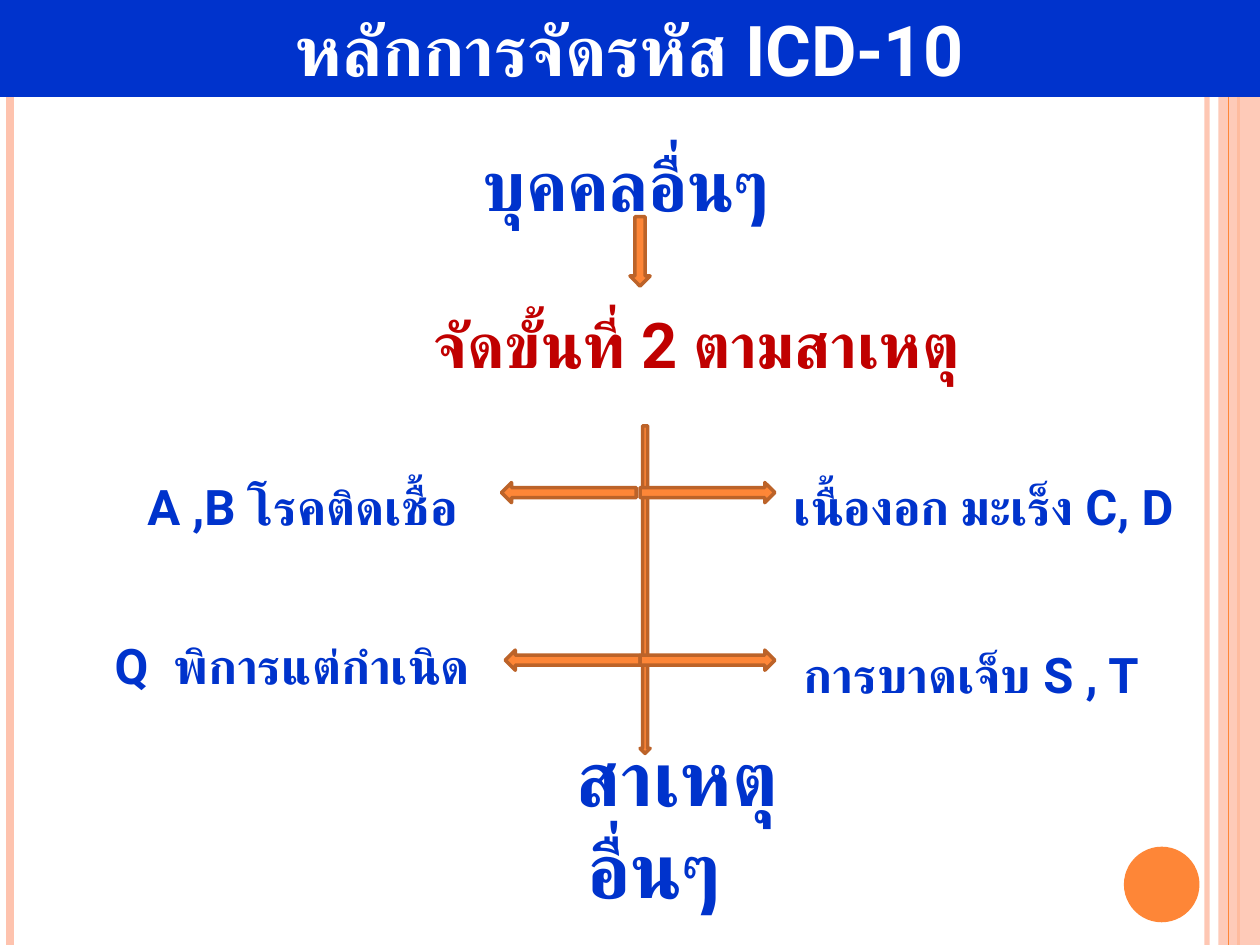
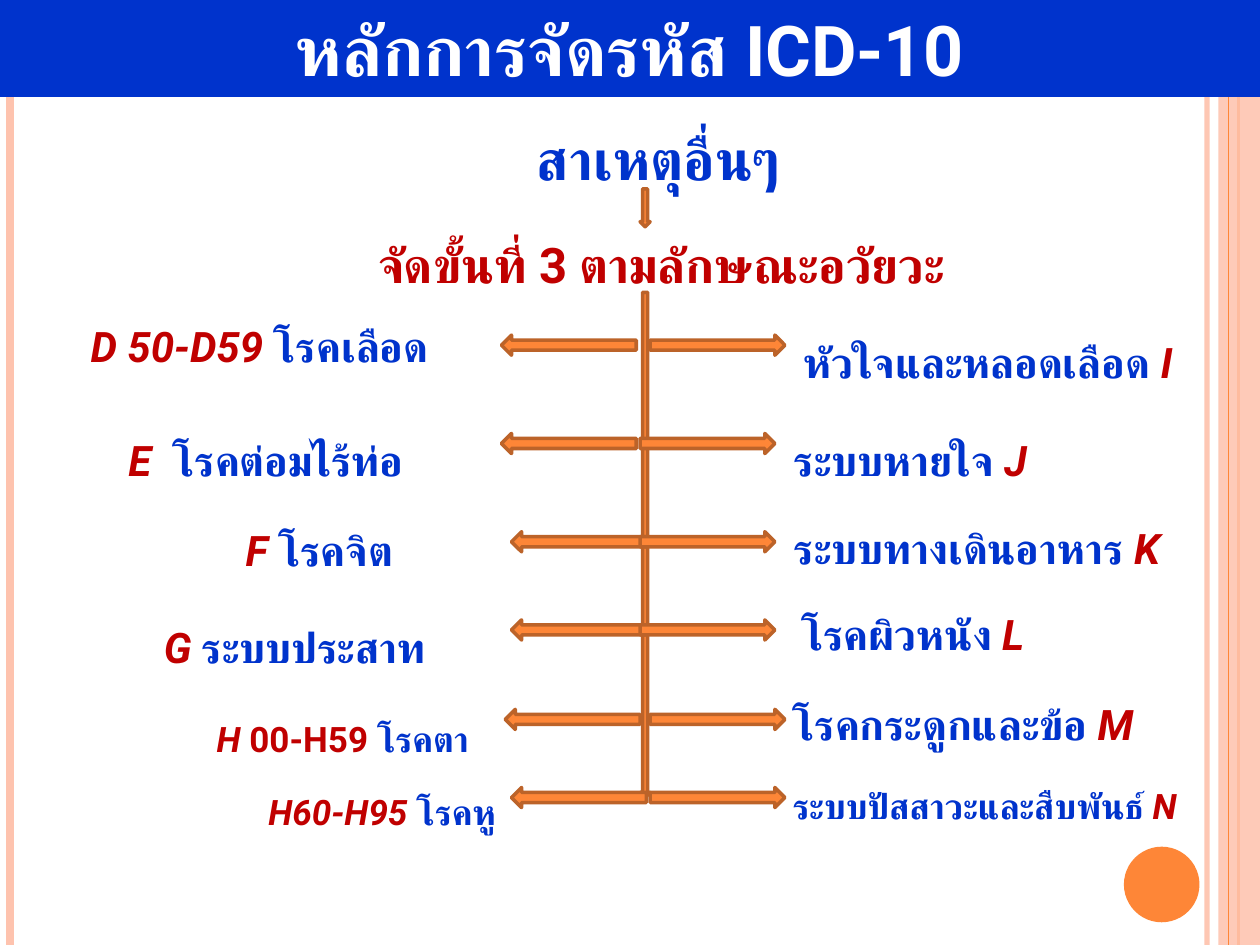
"""Build two slides on the principles of ICD-10 coding."""
from lxml import etree
from pptx import Presentation
from pptx import util as u
from pptx.dml import color
from pptx.enum import shapes, text
from pptx.oxml import ns

COLORS = {"blue": "0033CC", "red": "C00000", "white": "FFFFFF",
          "orange": "FE8637", "rust": "BC6329", "peach": "FEC3AE"}
FONT = "Roboto"
TITLE = "หลักการจัดรหัส ICD-10"
BASELINE_DROP = 0.39
KIND = shapes.MSO_SHAPE
LEFT, CENTER = text.PP_ALIGN.LEFT, text.PP_ALIGN.CENTER

RULES = [(9.58, "peach", 3, 93), (0.08, "peach", 4.5, 100), (9.83, "orange", 1.5, 100)]
INNER_RULE = [(9.75, "orange", 0.75, 100)]

SLIDES = [
    {
        "down": [(5.08, 3.38, 0.08, 2.6), (5, 1.72, 0.16, 0.55)],
        "branches": [(3.83, 3.98, 5.08), (5.16, 4.01, 5.08)],
        "centered": [
            (4.97, 1.67, 4, 40, 0, [("บุคคลอื่นๆ", "blue", False)]),
            (5.53, 2.92, 5.5, 36, 0, [("จัดขั้นที่ 2 ตามสาเหตุ", "red", False)]),
            (5.19, 6.76, 2.4, 44, 0.37, [("สาเหตุอื่นๆ", "blue", False)]),
        ],
        "labels": [
            (1.17, 4.17, 28, 0, [("A ,B โรคติดเชื้อ", "blue", False)]),
            (6.3, 4.17, 28, 0, [("เนื้องอก มะเร็ง C, D", "blue", False)]),
            (6.38, 5.5, 28, 0, [("การบาดเจ็บ S , T", "blue", False)]),
            (0.91, 5.43, 28, 0.47, [("Q\tพิการแต่กำเนิด", "blue", False)]),
        ],
    },
    {
        "down": [(5.08, 2.32, 0.08, 4.01), (5.08, 1.5, 0.08, 0.3)],
        "branches": [(2.66, 3.98, 5.16), (3.44, 3.98, 5.08), (4.22, 4.06, 5.08),
                     (4.92, 4.06, 5.08), (5.63, 4.01, 5.16), (6.25, 4.06, 5.16)],
        "centered": [
            (5.23, 1.43, 3.2, 32, 0, [("สาเหตุอื่นๆ", "blue", False)]),
            (5.25, 2.25, 5.8, 28, 0, [("จัดขั้นที่ 3 ตามลักษณะอวัยวะ", "red", False)]),
        ],
        "labels": [
            (0.72, 2.87, 24, 0, [("D 50-D59 ", "red", True), ("โรคเลือด", "blue", False)]),
            (1.02, 3.78, 24, 0.35, [("E\t", "red", True), ("โรคต่อมไร้ท่อ", "blue", False)]),
            (1.95, 4.49, 24, 0, [("F ", "red", True), ("โรคจิต", "blue", False)]),
            (1.3, 5.26, 24, 0, [("G ", "red", True), ("ระบบประสาท", "blue", False)]),
            (1.72, 5.97, 20, 0, [("H ", "red", True), ("00-H59 ", "red", False),
                                 ("โรคตา", "blue", False)]),
            (2.13, 6.55, 20, 0, [("H60-H95 ", "red", True), ("โรคหู", "blue", False)]),
            (6.38, 3, 24, 0, [("หัวใจและหลอดเลือด ", "blue", False), ("I", "red", True)]),
            (6.3, 3.78, 24, 0, [("ระบบหายใจ ", "blue", False), ("J", "red", True)]),
            (6.3, 4.48, 24, 0, [("ระบบทางเดินอาหาร ", "blue", False), ("K", "red", True)]),
            (6.36, 5.16, 24, 0, [("โรคผิวหนัง ", "blue", False), ("L", "red", True)]),
            (6.29, 5.87, 24, 0, [("โรคกระดูกและข้อ ", "blue", False), ("M", "red", True)]),
            (6.29, 6.5, 20, 0, [("ระบบปัสสาวะและสืบพันธ์ ", "blue", False), ("N", "red", True)]),
        ],
    },
]


def add_block(slide, kind, box, fill, outline=None, opacity=100):
    shape = slide.shapes.add_shape(kind, *map(u.Inches, box))
    shape.shadow.inherit = False
    shape.fill.solid()
    shape.fill.fore_color.rgb = color.RGBColor.from_string(COLORS[fill])
    if opacity < 100:
        tint = shape.fill._xPr.find(".//" + ns.qn("a:srgbClr"))
        etree.SubElement(tint, ns.qn("a:alpha"), val=str(opacity * 1000))
    if outline:
        shape.line.color.rgb = color.RGBColor.from_string(COLORS[outline])
        shape.line.width = u.Pt(2)
    else:
        shape.line.fill.background()
    return shape


def write_text(shape, runs, size, align, indent=0, tab=0):
    frame = shape.text_frame
    layout = {"word_wrap": True, "vertical_anchor": text.MSO_ANCHOR.MIDDLE,
              "margin_left": 0, "margin_right": 0, "margin_top": 0, "margin_bottom": 0}
    for name, value in layout.items():
        setattr(frame, name, value)
    paragraph = frame.paragraphs[0]
    paragraph.alignment = align
    properties = paragraph._p.get_or_add_pPr()
    if indent:
        properties.set("indent", str(u.Inches(indent)))
    if tab:
        tabs = etree.SubElement(properties, ns.qn("a:tabLst"))
        etree.SubElement(tabs, ns.qn("a:tab"), pos=str(u.Inches(tab)), algn="l")
    for words, tone, italic in runs:
        run = paragraph.add_run()
        run.text = words
        style = {"name": FONT, "size": u.Pt(size), "bold": True, "italic": italic}
        for name, value in style.items():
            setattr(run.font, name, value)
        run.font.color.rgb = color.RGBColor.from_string(COLORS[tone])
        etree.SubElement(run._r.get_or_add_rPr(), ns.qn("a:cs"), typeface=FONT)


presentation = Presentation()
presentation.slide_width = u.Inches(10)
presentation.slide_height = u.Inches(7.5)

for content in SLIDES:
    slide = presentation.slides.add_slide(presentation.slide_layouts[6])

    for rules in (RULES, INNER_RULE):
        for x, tone, weight, opacity in rules:
            rule = slide.shapes.add_connector(shapes.MSO_CONNECTOR.STRAIGHT, u.Inches(x), 0,
                                              u.Inches(x), u.Inches(7.5))
            rule.line.color.rgb = color.RGBColor.from_string(COLORS[tone])
            rule.line.width = u.Pt(weight)
            etree.SubElement(rule._element.spPr, ns.qn("a:effectLst"))
            if opacity < 100:
                tint = rule._element.spPr.find(".//" + ns.qn("a:srgbClr"))
                etree.SubElement(tint, ns.qn("a:alpha"), val=str(opacity * 1000))
        if rules is RULES:
            add_block(slide, KIND.RECTANGLE, (9.67, 0, 0.33, 7.5), "peach", opacity=87)
    add_block(slide, KIND.OVAL, (8.92, 6.72, 0.6, 0.6), "orange")

    band = add_block(slide, KIND.RECTANGLE, (0, 0, 10, 0.77), "blue")
    write_text(band, [(TITLE, "white", False)], 40, CENTER)

    for box in content["down"]:
        add_block(slide, KIND.DOWN_ARROW, box, "orange", "rust")
    for y, left_x, right_x in content["branches"]:
        add_block(slide, KIND.LEFT_ARROW, (left_x, y, 1.07, 0.16), "orange", "rust")
        add_block(slide, KIND.RIGHT_ARROW, (right_x, y, 1.07, 0.16), "orange", "rust")

    entries = [(middle - width / 2, baseline, width, size, CENTER, indent, 0, runs)
               for middle, baseline, width, size, indent, runs in content["centered"]]
    entries += [(x, baseline, 3.2, size, LEFT, 0, tab, runs)
                for x, baseline, size, tab, runs in content["labels"]]
    for x, baseline, width, size, align, indent, tab, runs in entries:
        height = 0.6
        top = baseline - BASELINE_DROP * size / 72 - height / 2
        label = slide.shapes.add_textbox(*map(u.Inches, (x, top, width, height)))
        write_text(label, runs, size, align, indent, tab)

presentation.save("out.pptx")
